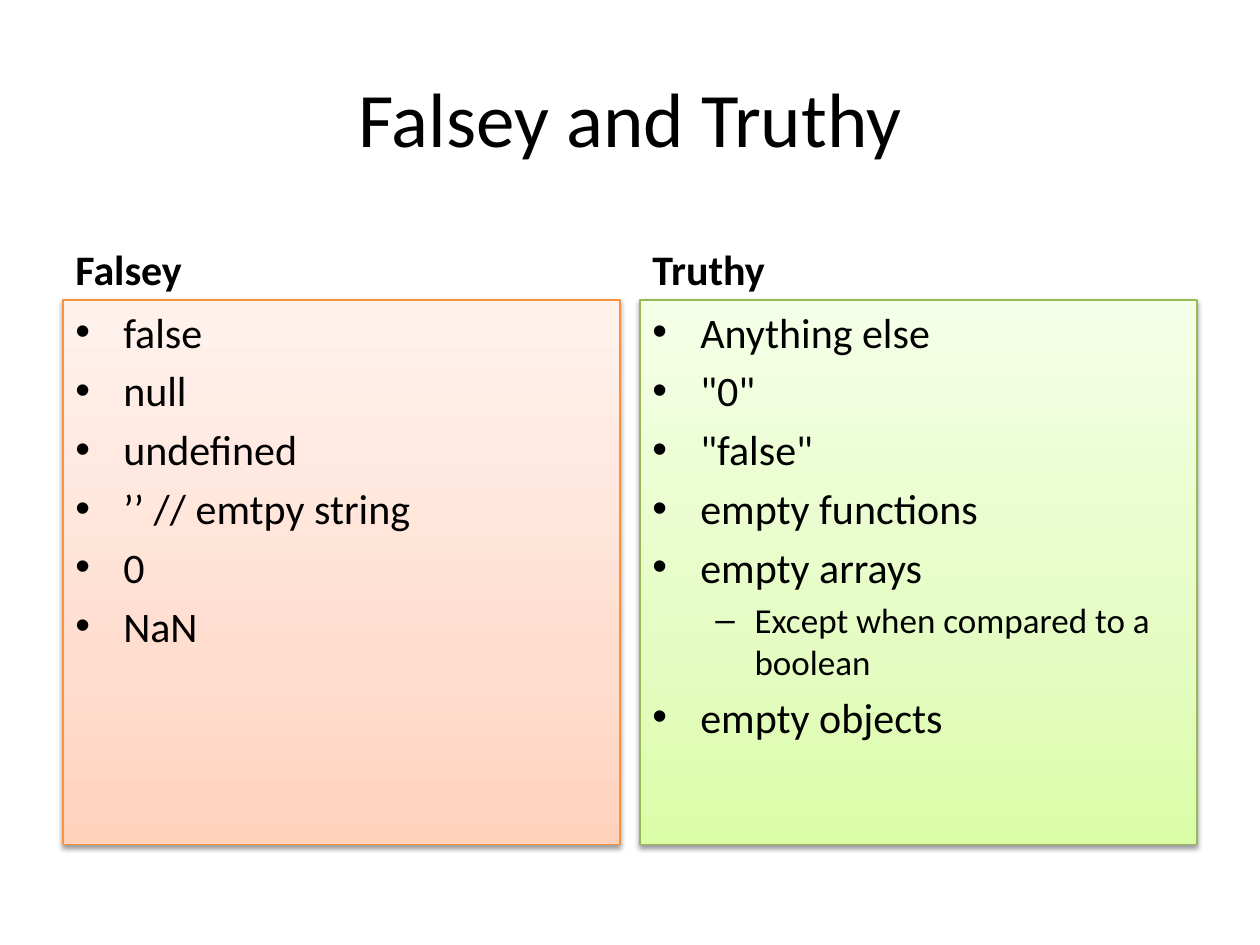
from lxml import etree
from pptx import Presentation
from pptx import util as u
from pptx.dml.color import RGBColor
from pptx.enum import shapes, text
from pptx.oxml import parse_xml
from pptx.oxml.ns import nsdecls, qn

COLUMNS = [
    ("Falsey", "F69240", ("FFD2BD", "FFDED0", "FFF2ED"),
     [("false", 0), ("null", 0), ("undefined", 0), ("’’ // emtpy string", 0),
      ("0", 0), ("NaN", 0)]),
    ("Truthy", "98B955", ("DAFDA7", "E4FCC2", "F5FFE7"),
     [("Anything else", 0), ('"0"', 0), ('"false"', 0), ("empty functions", 0),
      ("empty arrays", 0), ("Except when compared to a boolean", 1),
      ("empty objects", 0)]),
]
LEVELS = [(24, 0.38, 0.38, "•"), (20, 0.81, 0.31, "–")]
LEFT, WIDTH, STEP = 0.5, 4.42, 4.58


def rgb(value):
    """Return the colour for a hex string."""
    return RGBColor.from_string(value)


def write(p, content, size=24, bold=False, color="000000",
          align=text.PP_ALIGN.LEFT, before=0):
    """Put formatted text in a paragraph."""
    p.alignment = align
    p.space_before = u.Pt(before)
    r = p.add_run()
    r.text = content
    r.font.name = "Calibri"
    r.font.size = u.Pt(size)
    r.font.bold = bold
    r.font.color.rgb = rgb(color)


def add_bullet(p, indent, hanging, char):
    """Give a paragraph a bullet with a hanging indent."""
    pPr = p._p.get_or_add_pPr()
    pPr.set("marL", str(u.Inches(indent)))
    pPr.set("indent", str(-u.Inches(hanging)))
    etree.SubElement(pPr, qn("a:buFont"), typeface="Arial")
    etree.SubElement(pPr, qn("a:buChar"), char=char)


def add_gradient(sp, colors):
    """Fill a shape with a gradient that rises from the bottom."""
    stops = "".join(
        f'<a:gs pos="{pos}"><a:srgbClr val="{color}"/></a:gs>'
        for pos, color in zip((0, 35000, 100000), colors))
    sp.line._get_or_add_ln().addprevious(parse_xml(
        f'<a:gradFill {nsdecls("a")} rotWithShape="1"><a:gsLst>{stops}</a:gsLst>'
        '<a:lin ang="16200000" scaled="1"/></a:gradFill>'))


def add_shadow(sp):
    """Give a shape a soft shadow below it."""
    sp.shadow.inherit = False
    sp._element.spPr.find(qn("a:effectLst")).append(parse_xml(
        f'<a:outerShdw {nsdecls("a")} blurRad="40000" dist="20000" dir="5400000" '
        'rotWithShape="0"><a:srgbClr val="000000"><a:alpha val="38000"/>'
        '</a:srgbClr></a:outerShdw>'))


def add_heading(slide, left, content):
    """Add the bold heading of a column."""
    sp = slide.shapes.add_textbox(
        u.Inches(left), u.Inches(1.68), u.Inches(WIDTH), u.Inches(0.7))
    tf = sp.text_frame
    tf.word_wrap = True
    tf.vertical_anchor = text.MSO_ANCHOR.BOTTOM
    write(tf.paragraphs[0], content, bold=True, before=4.8)


def add_panel(slide, left, line, colors, items):
    """Add the shaded panel that holds a bulleted list."""
    sp = slide.shapes.add_shape(
        shapes.MSO_SHAPE.RECTANGLE, u.Inches(left), u.Inches(2.38),
        u.Inches(WIDTH), u.Inches(4.32))
    sp.line.color.rgb = rgb(line)
    sp.line.width = u.Pt(0.75)
    add_gradient(sp, colors)
    add_shadow(sp)
    tf = sp.text_frame
    tf.word_wrap = True
    tf.vertical_anchor = text.MSO_ANCHOR.TOP
    for i, (content, level) in enumerate(items):
        p = tf.add_paragraph() if i else tf.paragraphs[0]
        size, indent, hanging, char = LEVELS[level]
        p.level = level
        write(p, content, size=size, before=size * 0.2)
        add_bullet(p, indent, hanging, char)


def add_title(slide, content):
    """Place and fill the title placeholder."""
    sp = slide.shapes.title
    sp.left, sp.top = u.Inches(LEFT), u.Inches(0.3)
    sp.width, sp.height = u.Inches(9), u.Inches(1.25)
    sp.text_frame.vertical_anchor = text.MSO_ANCHOR.MIDDLE
    write(sp.text_frame.paragraphs[0], content, size=44,
          align=text.PP_ALIGN.CENTER)


def main():
    """Build the slide and save it."""
    prs = Presentation()
    prs.slide_width, prs.slide_height = u.Inches(10), u.Inches(7.5)
    slide = prs.slides.add_slide(prs.slide_layouts[5])
    add_title(slide, "Falsey and Truthy")
    for i, (heading, line, colors, items) in enumerate(COLUMNS):
        left = LEFT + i * STEP
        add_heading(slide, left, heading)
        add_panel(slide, left, line, colors, items)
    prs.save("out.pptx")


if __name__ == "__main__":
    main()
